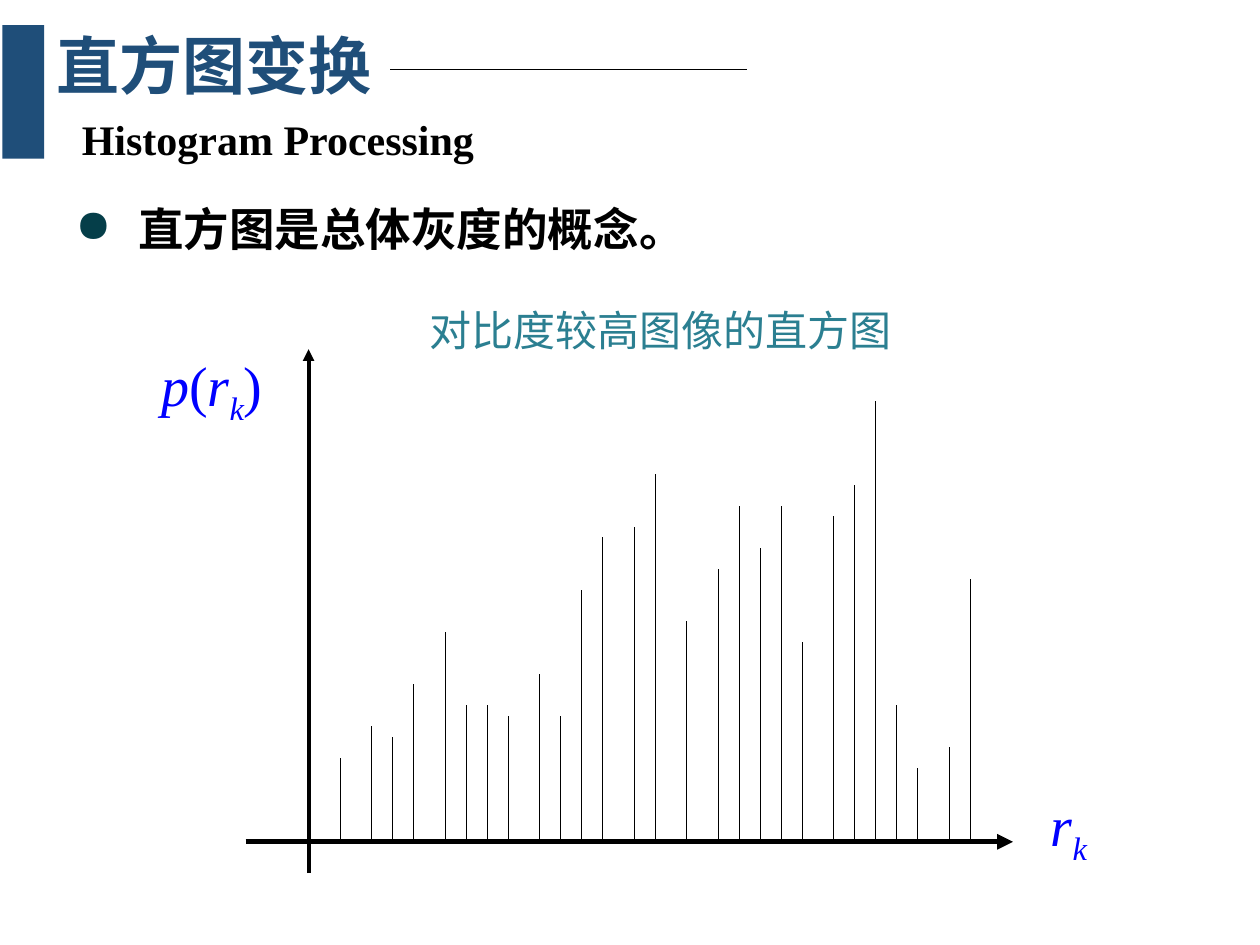
from lxml import etree
from pptx import Presentation
from pptx.dml.color import RGBColor
from pptx.enum.shapes import MSO_CONNECTOR, MSO_SHAPE
from pptx.enum.text import MSO_ANCHOR, PP_ALIGN
from pptx.oxml.ns import qn
from pptx.util import Cm, Pt

STRAIGHT = MSO_CONNECTOR.STRAIGHT
RECTANGLE = MSO_SHAPE.RECTANGLE
TOP, MIDDLE = MSO_ANCHOR.TOP, MSO_ANCHOR.MIDDLE
LEFT, CENTER = PP_ALIGN.LEFT, PP_ALIGN.CENTER

COLORS = {
    "navy": "1F4E79",
    "teal": "2B7F91",
    "bullet": "053E49",
    "blue": "0000FF",
    "black": "000000",
}
CJK, SERIF, SANS = "Noto Sans CJK SC", "Times New Roman", "Calibri"

STEP = 2.54 / 12
BASELINE = 16.97
FIRST_LEVEL = 6.86
HISTOGRAM = [
    (0, 8), (3, 11), (5, 10), (7, 15), (10, 20), (12, 13), (14, 13),
    (16, 12), (19, 16), (21, 12), (23, 24), (25, 29), (28, 30), (30, 35),
    (33, 21), (36, 26), (38, 32), (40, 28), (42, 32), (44, 19), (47, 31),
    (49, 34), (51, 42), (53, 13), (55, 7), (58, 9), (60, 25),
]


class SlideBuilder:
    def __init__(self, slide):
        self.slide = slide

    def style(self, run, size, color, font, bold=False, italic=False):
        run.font.size = Pt(size)
        run.font.bold = bold
        run.font.italic = italic
        run.font.color.rgb = RGBColor.from_string(COLORS[color])
        run.font.name = font
        east_asian = etree.SubElement(run.font._element, qn("a:ea"))
        east_asian.set("typeface", SERIF if font == SERIF else CJK)

    def frame(self, left, top, width, height, anchor, wrap=True):
        box = self.slide.shapes.add_textbox(Cm(left), Cm(top), Cm(width), Cm(height))
        box.text_frame.word_wrap = wrap
        box.text_frame.vertical_anchor = anchor
        return box.text_frame

    def text(self, words, place, size, color, font, bold=False, anchor=MIDDLE, spacing=0.9):
        frame = self.frame(*place, anchor)
        frame.text = words
        paragraph = frame.paragraphs[0]
        paragraph.alignment = LEFT
        paragraph.line_spacing = spacing
        self.style(paragraph.runs[0], size, color, font, bold)
        return paragraph

    def bullet(self, paragraph, symbol, color, indent):
        properties = paragraph._p.get_or_add_pPr()
        properties.set("marL", str(Cm(indent)))
        properties.set("indent", str(-Cm(indent)))
        bullet_color = etree.SubElement(properties, qn("a:buClr"))
        etree.SubElement(bullet_color, qn("a:srgbClr")).set("val", COLORS[color])
        etree.SubElement(properties, qn("a:buChar")).set("char", symbol)

    def formula(self, parts, place, wrap=True):
        paragraph = self.frame(*place, MIDDLE, wrap).paragraphs[0]
        paragraph.alignment = CENTER
        for symbol in parts:
            run = paragraph.add_run()
            run.text = symbol
            self.style(run, 32, "blue", SERIF, italic=symbol.isalpha())
            if symbol == "k":
                run.font._element.set("baseline", "-25000")

    def line(self, x1, y1, x2, y2, weight, arrow=False):
        connector = self.slide.shapes.add_connector(STRAIGHT, Cm(x1), Cm(y1), Cm(x2), Cm(y2))
        connector.line.width = Pt(weight)
        connector.line.color.rgb = RGBColor.from_string(COLORS["black"])
        if arrow:
            etree.SubElement(connector.line._ln, qn("a:tailEnd")).set("type", "triangle")
        etree.SubElement(connector._element.spPr, qn("a:effectLst"))

    def block(self, left, top, width, height, color):
        shape = self.slide.shapes.add_shape(RECTANGLE, Cm(left), Cm(top), Cm(width), Cm(height))
        shape.shadow.inherit = False
        shape.fill.solid()
        shape.fill.fore_color.rgb = RGBColor.from_string(COLORS[color])
        shape.line.fill.background()


def main():
    presentation = Presentation()
    presentation.slide_width = Cm(25.4)
    presentation.slide_height = Cm(19.05)
    builder = SlideBuilder(presentation.slides.add_slide(presentation.slide_layouts[6]))

    statement = builder.text("直方图是总体灰度的概念。", (1.27, 3.71, 22.86, 5.23),
                             26, "black", SANS, bold=True, anchor=TOP, spacing=1.2)
    builder.bullet(statement, "●", "bullet", 1.27)
    builder.text("对比度较高图像的直方图", (8.41, 6.12, 10.72, 1.52),
                 24, "teal", CJK, anchor=TOP)

    builder.line(4.95, BASELINE, 20.42, BASELINE, 3, arrow=True)
    builder.line(6.22, 17.6, 6.22, 7.04, 2.25, arrow=True)
    builder.formula("p(rk)", (2.49, 7.04, 3.56, 1.6))
    builder.formula("rk", (20.9, 15.9, 1.3, 1.63), wrap=False)
    for level, count in HISTOGRAM:
        x = FIRST_LEVEL + level * STEP
        builder.line(x, BASELINE, x, BASELINE - count * STEP, 0.75)

    builder.text("直方图变换", (0.89, 0.28, 7.59, 2.21), 36, "navy", CJK, bold=True)
    builder.line(7.87, 1.4, 15.06, 1.4, 0.5)
    builder.block(0.05, 0.51, 0.84, 2.69, "navy")
    builder.text("Histogram Processing", (1.4, 1.73, 18.11, 2.26),
                 24, "black", SERIF, bold=True)
    presentation.save("out.pptx")


if __name__ == "__main__":
    main()
